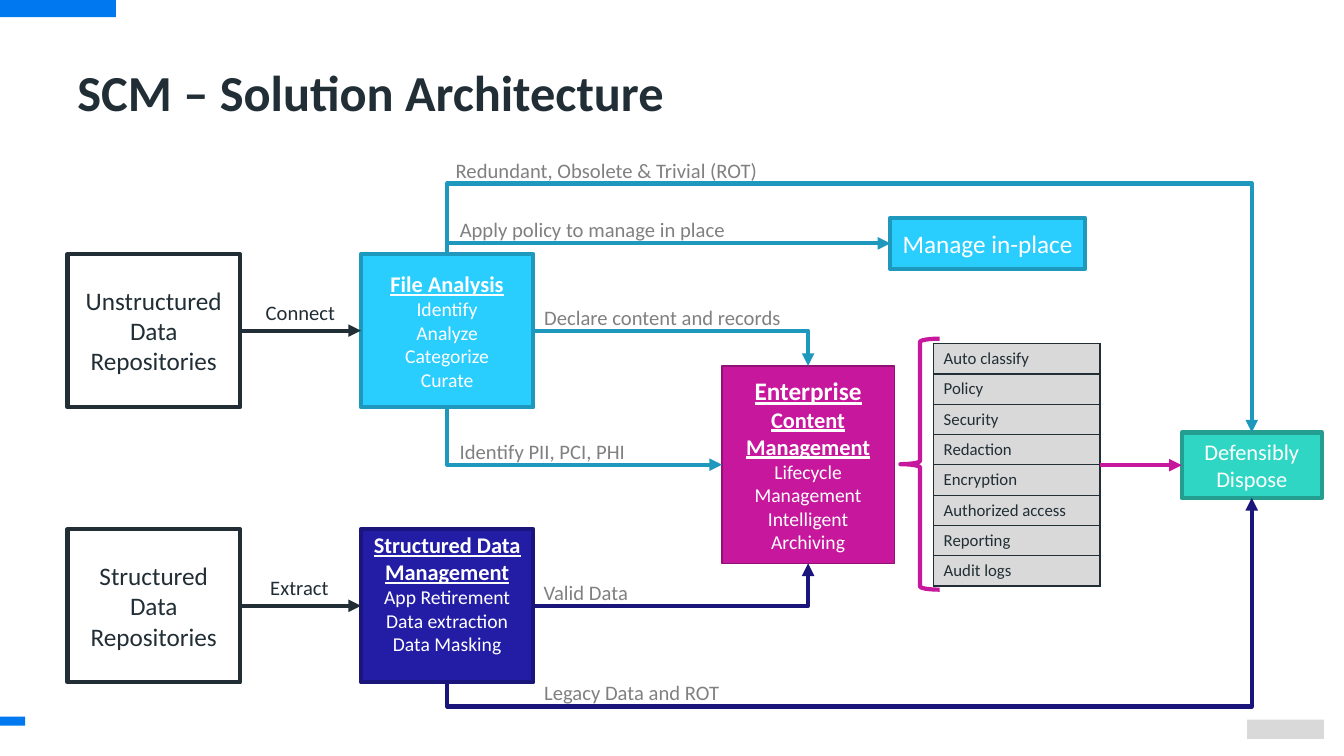
import pptx
import pptx.util
import pptx.dml.color
import pptx.enum.shapes
import pptx.enum.text
import pptx.oxml
import pptx.oxml.ns

Inches = pptx.util.Inches
Pt = pptx.util.Pt
RGBColor = pptx.dml.color.RGBColor
SHAPES = pptx.enum.shapes.MSO_SHAPE
CONNECTORS = pptx.enum.shapes.MSO_CONNECTOR
ALIGN = pptx.enum.text.PP_ALIGN
ANCHOR = pptx.enum.text.MSO_ANCHOR

FONT = "Calibri"
WHITE = RGBColor(0xFF, 0xFF, 0xFF)
INK = RGBColor(0x21, 0x2E, 0x35)
GREY = RGBColor(0x80, 0x80, 0x80)
PALE = RGBColor(0xD9, 0xD9, 0xD9)
BLUE = RGBColor(0x00, 0x78, 0xEF)
CYAN = RGBColor(0x29, 0xCE, 0xFE)
TEAL = RGBColor(0x1E, 0x98, 0xBC)
PINK = RGBColor(0xC6, 0x17, 0x9D)
PLUM = RGBColor(0x92, 0x11, 0x74)
VIOLET = RGBColor(0x23, 0x1C, 0xA5)
NAVY = RGBColor(0x1A, 0x15, 0x7A)
MINT = RGBColor(0x2F, 0xD6, 0xC3)
GREEN = RGBColor(0x23, 0x9E, 0x90)

TOP, LEFT, BOTTOM, RIGHT = range(4)

TITLE = "SCM – Solution Architecture"
DECORATIONS = [
    (0, 0, 1.15, 0.17, BLUE),
    (0, 7.11, 0.25, 0.09, BLUE),
    (12.37, 7.14, 0.76, 0.19, PALE),
]

# name: left, top, width, height, fill, line, line width, text colour, headings, details, detail size
BOXES = {
    "unstructured": (0.67, 2.52, 1.71, 1.52, WHITE, INK, 3, INK, [],
                     ["Unstructured Data Repositories"], 18),
    "analysis": (3.58, 2.52, 1.71, 1.52, CYAN, TEAL, 3, WHITE, [("File Analysis", 16)],
                 ["Identify", "Analyze", "Categorize", "Curate"], 14),
    "in_place": (8.83, 2.16, 1.93, 0.51, CYAN, TEAL, 3, WHITE, [], ["Manage in-place"], 18),
    "content": (7.16, 3.63, 1.71, 1.96, PINK, PLUM, 1, WHITE,
                [("Enterprise ", 18), ("Content Management", 16)],
                ["Lifecycle Management", "Intelligent Archiving"], 14),
    "structured": (0.67, 5.25, 1.71, 1.52, WHITE, INK, 3, INK, [],
                   ["Structured Data Repositories"], 18),
    "management": (3.58, 5.25, 1.71, 1.52, VIOLET, NAVY, 3, WHITE,
                   [("Structured Data Management", 16)],
                   ["App Retirement", "Data extraction", "Data Masking"], 14),
    "dispose": (11.72, 4.29, 1.39, 0.65, MINT, GREEN, 3, WHITE, [], ["Defensibly Dispose"], 16),
}
BOTTOM_INSETS = {"management": 0.29}

STRAIGHT_ARROWS = [("unstructured", "analysis"), ("structured", "management")]
ELBOWS = [
    ("analysis", TOP, "dispose", TOP, TEAL, 270, "flipH", 1.82),
    ("analysis", TOP, "in_place", LEFT, TEAL, 90, "flipH flipV", None),
    ("analysis", RIGHT, "content", TOP, TEAL, 0, "", None),
    ("analysis", BOTTOM, "content", LEFT, TEAL, 270, "flipH", None),
    ("management", RIGHT, "content", BOTTOM, NAVY, 0, "flipV", None),
    ("management", BOTTOM, "dispose", BOTTOM, NAVY, 90, "flipH flipV", 7.01),
]
LABELS = [
    ("Legacy Data and ROT", 5.29, 6.7, 1.95, GREY),
    ("Valid Data", 5.29, 5.7, 1.04, GREY),
    ("Redundant, Obsolete & Trivial (ROT)", 4.41, 1.52, 3.21, GREY),
    ("Apply policy to manage in place", 4.45, 2.1, 2.85, GREY),
    ("Declare content and records", 5.29, 2.98, 2.56, GREY),
    ("Identify PII, PCI, PHI", 4.45, 4.31, 1.86, GREY),
    ("Connect", 2.53, 2.93, 0.9, INK),
    ("Extract", 2.58, 5.65, 0.78, INK),
]
FEATURES = ["Auto classify", "Policy", "Security", "Redaction", "Encryption",
            "Authorized access", "Reporting", "Audit logs"]
TABLE_LEFT, TABLE_TOP, TABLE_WIDTH, ROW_HEIGHT = 9.26, 3.41, 1.65, 0.3


def write(paragraph, text, size=14, color=INK, bold=False, underline=False, align=None):
    run = paragraph.add_run()
    run.text = text
    run.font.name = FONT
    run.font.size = Pt(size)
    run.font.bold = bold
    run.font.underline = underline
    run.font.color.rgb = color
    if align is not None:
        paragraph.alignment = align


def add_block(slide, kind, left, top, width, height, fill=None, line=None, line_width=3):
    shape = slide.shapes.add_shape(kind, Inches(left), Inches(top), Inches(width), Inches(height))
    shape.shadow.inherit = False
    if fill is None:
        shape.fill.background()
    else:
        shape.fill.solid()
        shape.fill.fore_color.rgb = fill
    if line is None:
        shape.line.fill.background()
    else:
        shape.line.color.rgb = line
        shape.line.width = Pt(line_width)
    return shape


def add_box(slide, name):
    *frame, color, headings, details, size = BOXES[name]
    shape = add_block(slide, SHAPES.RECTANGLE, *frame)
    text_frame = shape.text_frame
    text_frame.word_wrap = True
    text_frame.vertical_anchor = ANCHOR.MIDDLE
    text_frame.margin_bottom = Inches(BOTTOM_INSETS.get(name, 0.05))
    paragraph = text_frame.paragraphs[0]
    for heading, heading_size in headings:
        write(paragraph, heading, size=heading_size, color=color, bold=True,
              underline=True, align=ALIGN.CENTER)
    for index, detail in enumerate(details):
        if headings or index:
            paragraph = text_frame.add_paragraph()
        write(paragraph, detail, size=size, color=color, align=ALIGN.CENTER)
    return shape


def add_text(slide, text, left, top, width, height, wrap=True, **style):
    box = slide.shapes.add_textbox(Inches(left), Inches(top), Inches(width), Inches(height))
    box.text_frame.word_wrap = wrap
    paragraph = box.text_frame.paragraphs[0]
    write(paragraph, text, **style)
    return paragraph


def child(parent, tag, **attributes):
    element = pptx.oxml.ns.qn(tag)
    node = parent.makeelement(element, attributes)
    parent.append(node)
    return node


def add_arrow(slide, start, end, color, kind=CONNECTORS.STRAIGHT):
    connector = slide.shapes.add_connector(kind, *(Inches(value) for value in (*start, *end)))
    connector.line.color.rgb = color
    connector.line.width = Pt(3)
    child(connector.line._get_or_add_ln(), "a:tailEnd", type="triangle")
    child(connector._element.spPr, "a:effectLst")
    return connector


def side_point(name, side):
    left, top, width, height = BOXES[name][:4]
    across, down = {TOP: (0.5, 0), LEFT: (0, 0.5), BOTTOM: (0.5, 1), RIGHT: (1, 0.5)}[side]
    return left + across * width, top + down * height


def add_elbow(slide, source, source_side, target, target_side, color, rotation, flips, lane):
    start, end = side_point(source, source_side), side_point(target, target_side)
    connector = add_arrow(slide, start, end, color, CONNECTORS.ELBOW)
    width, height = abs(end[0] - start[0]), abs(end[1] - start[1])
    if rotation:
        width, height = height, width
    connector.left = Inches((start[0] + end[0] - width) / 2)
    connector.top = Inches((start[1] + end[1] - height) / 2)
    connector.width, connector.height = Inches(width), Inches(height)
    transform = connector._element.spPr.find(pptx.oxml.ns.qn("a:xfrm"))
    transform.set("rot", str(rotation * 60000))
    for flip in ("flipH", "flipV"):
        transform.set(flip, "1" if flip in flips else "0")
    geometry = connector._element.spPr.find(pptx.oxml.ns.qn("a:prstGeom"))
    if lane is None:
        geometry.set("prst", "bentConnector2")
    else:
        bend = round((lane - start[1]) / (end[1] - start[1]) * 100000)
        guides = geometry.find(pptx.oxml.ns.qn("a:avLst"))
        child(guides, "a:gd", name="adj1", fmla=f"val {bend}")


def add_features(slide):
    frame = slide.shapes.add_table(len(FEATURES), 1, Inches(TABLE_LEFT), Inches(TABLE_TOP),
                                   Inches(TABLE_WIDTH), Inches(ROW_HEIGHT * len(FEATURES)))
    for row, feature in enumerate(FEATURES):
        cell = frame.table.cell(row, 0)
        write(cell.text_frame.paragraphs[0], feature, size=12)
        properties = cell._tc.get_or_add_tcPr()
        for edge in ("a:lnL", "a:lnR", "a:lnT", "a:lnB"):
            border = child(properties, edge, w=str(Pt(1)))
            child(child(border, "a:solidFill"), "a:srgbClr", val=str(INK))
        cell.fill.solid()
        cell.fill.fore_color.rgb = PALE


def main():
    presentation = pptx.Presentation()
    presentation.slide_width, presentation.slide_height = Inches(13.33), Inches(7.5)
    slide = presentation.slides.add_slide(presentation.slide_layouts[6])
    for decoration in DECORATIONS:
        add_block(slide, SHAPES.RECTANGLE, *decoration)
    title = add_text(slide, TITLE, 0.67, 0.67, 9, 2.12, size=36, bold=True)
    title.line_spacing = 0.8
    boxes = {name: add_box(slide, name) for name in BOXES}
    add_features(slide)
    for source, target in STRAIGHT_ARROWS:
        arrow = add_arrow(slide, side_point(source, RIGHT), side_point(target, LEFT), INK)
        arrow.begin_connect(boxes[source], RIGHT)
        arrow.end_connect(boxes[target], LEFT)
    for elbow in ELBOWS:
        add_elbow(slide, *elbow)
    add_block(slide, SHAPES.LEFT_BRACE, 8.93, 3.36, 0.39, 2.49, line=PINK)
    for text, left, top, width, color in LABELS:
        add_text(slide, text, left, top, width, 0.35, wrap=False, size=14.7, color=color,
                 align=ALIGN.CENTER)
    dispose_entry = side_point("dispose", LEFT)
    arrow = add_arrow(slide, (TABLE_LEFT + TABLE_WIDTH, dispose_entry[1]), dispose_entry, PINK)
    arrow.end_connect(boxes["dispose"], LEFT)
    presentation.save("out.pptx")


if __name__ == "__main__":
    main()
